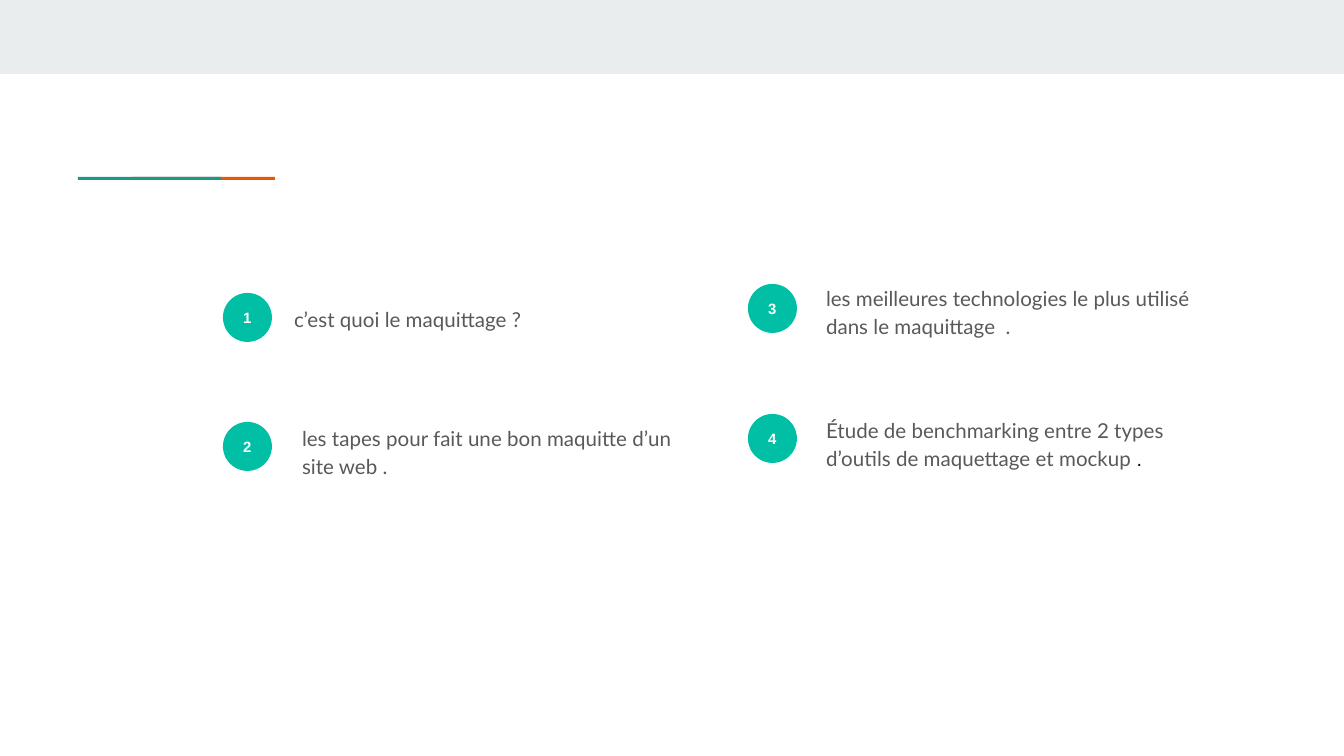
from pptx import Presentation
from pptx.dml.color import RGBColor
from pptx.enum.shapes import MSO_SHAPE as Kind
from pptx.enum.text import MSO_ANCHOR as Anchor, PP_ALIGN as Align
from pptx.util import Pt

SCALE = 914400 / 134.4
WHITE = RGBColor(0xFF, 0xFF, 0xFF)
BLACK = RGBColor(0x00, 0x00, 0x00)
GRAY = RGBColor(0x59, 0x59, 0x59)
MIST = RGBColor(0xE9, 0xED, 0xEE)
TEAL = RGBColor(0x1A, 0x99, 0x88)
MINT = RGBColor(0x00, 0xBF, 0xA5)
RUST = RGBColor(0xEB, 0x56, 0x00)
DOT = 49
WIDE = 417
ITEMS = [
    ((223, 293), (281, 290, 56), ["c’est quoi le maquittage ?"]),
    ((223, 422), (289, 409, 71),
     ["les tapes pour fait une bon maquitte d’un site web ."]),
    ((748, 284), (813, 269, 79),
     ["les meilleures technologies le plus utilisé dans le maquittage  ."]),
    ((748, 414), (813, 401, 87),
     ["Étude de benchmarking entre 2 types d’outils de maquettage et mockup ",
      "."]),
]
STYLES = [("Lato", 11, GRAY), ("Arial", 10.5, BLACK)]


def px(*vals):
    """Turn pixel lengths into EMU."""
    return [round(val * SCALE) for val in vals]


def add_form(slide, kind, box, fill):
    """Draw a flat filled shape without outline."""
    form = slide.shapes.add_shape(kind, *px(*box))
    form.shadow.inherit = False
    form.fill.solid()
    form.fill.fore_color.rgb = fill
    form.line.fill.background()
    return form


def set_frame(frame):
    """Give a text frame wrapping and even insets."""
    frame.word_wrap = True
    inset, = px(13)
    frame.margin_left = frame.margin_right = inset
    frame.margin_top = frame.margin_bottom = inset


def add_run(para, text, face, size, color, bold=False):
    """Append one styled run."""
    run = para.add_run()
    run.text = text
    font = run.font
    font.name, font.size, font.bold = face, Pt(size), bold
    font.color.rgb = color


def add_badge(slide, num, left, top):
    """Draw a numbered circle."""
    badge = add_form(slide, Kind.OVAL, (left, top, DOT, DOT), MINT)
    frame = badge.text_frame
    set_frame(frame)
    frame.vertical_anchor = Anchor.MIDDLE
    para = frame.paragraphs[0]
    para.alignment = Align.CENTER
    add_run(para, str(num), "Arial", 8, WHITE, True)


def add_topic(slide, left, top, high, parts):
    """Write the text of one agenda topic."""
    box = slide.shapes.add_textbox(*px(left, top, WIDE, high))
    frame = box.text_frame
    set_frame(frame)
    frame.vertical_anchor = Anchor.TOP
    para = frame.paragraphs[0]
    para.line_spacing = 1.15
    para.space_after = Pt(16)
    for text, style in zip(parts, STYLES):
        add_run(para, text, *style)


def main():
    """Build the agenda slide and save it."""
    deck = Presentation()
    deck.slide_width, deck.slide_height = px(1344, 756)
    slide = deck.slides.add_slide(deck.slide_layouts[6])
    for left, fill in ((132, RUST), (78, TEAL)):
        add_form(slide, Kind.RECTANGLE, (left, 177, 143, 3), fill)
    for num, (dot, topic, parts) in enumerate(ITEMS, 1):
        add_badge(slide, num, *dot)
        add_topic(slide, *topic, parts)
    add_form(slide, Kind.RECTANGLE, (0, 0, 1344, 74), MIST)
    deck.save("out.pptx")


if __name__ == "__main__":
    main()
